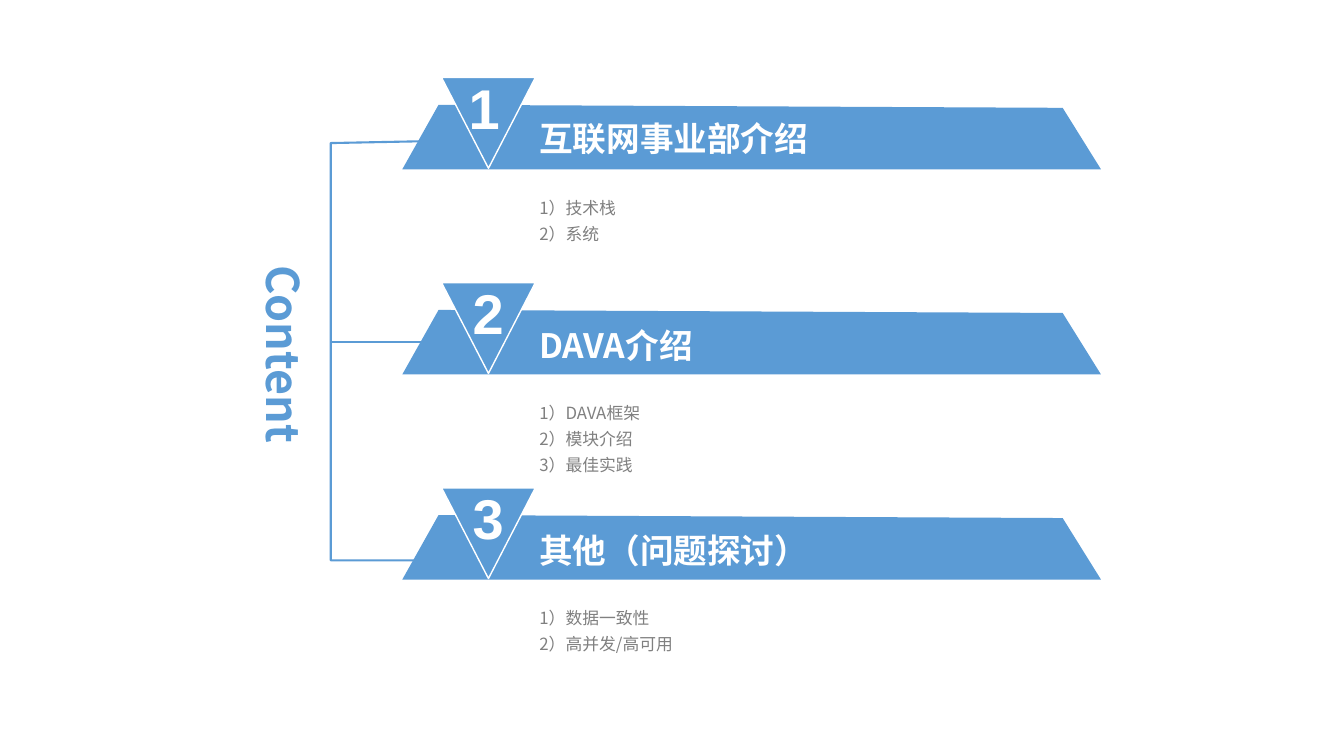
from dataclasses import dataclass

from pptx import Presentation
from pptx.dml.color import RGBColor
from pptx.enum.shapes import MSO_CONNECTOR as Link, MSO_SHAPE as Kind
from pptx.enum.text import MSO_ANCHOR as Anchor, MSO_AUTO_SIZE as Fit, PP_ALIGN as Align
from pptx.oxml.ns import qn
from pptx.oxml.xmlchemy import OxmlElement as Node
from pptx.util import Inches, Pt

COLORS = {"blue": "5B9BD5", "white": "FFFFFF", "gray": "808080"}
SANS = "Noto Sans CJK SC"
TOP, STEP = 0.77, 4.07 / 2


@dataclass
class Part:
    head: str
    items: list[str]
    width: float
    drop: float = 0.37
    num_x: float = 4.59


@dataclass
class Style:
    size: float
    color: str
    bold: bool = True
    font: str = SANS
    space: float = 1.0
    wrap: bool = False


PARTS = [
    Part("互联网事业部介绍", ["1）技术栈", "2）系统"], 2.89, 0.35, 4.55),
    Part("DAVA介绍", ["1）DAVA框架", "2）模块介绍", "3）最佳实践"], 1.84),
    Part("其他（问题探讨）", ["1）数据一致性", "2）高并发/高可用"], 2.89),
]
TITLE = Style(32, "blue")
HEAD = Style(24, "white")
NUMBER = Style(40, "white", font="Arial")
ITEM = Style(12, "gray", bold=False, space=1.3, wrap=True)


def tint(name: str) -> RGBColor:
    """Return a named colour."""
    return RGBColor.from_string(COLORS[name])


def place(shape, x: float, y: float, w: float, h: float) -> None:
    """Move and size a shape in inches."""
    shape.left, shape.top = Inches(x), Inches(y)
    shape.width, shape.height = Inches(w), Inches(h)


def write(shape, text: str, style: Style) -> None:
    """Fill a shape with plain, left-aligned text."""
    frame = shape.text_frame
    frame.text = text
    frame.word_wrap = style.wrap
    frame.auto_size = Fit.SHAPE_TO_FIT_TEXT
    frame.vertical_anchor = Anchor.TOP
    for para in frame.paragraphs:
        para.alignment = Align.LEFT
        para.line_spacing = style.space
        para.space_before = para.space_after = Pt(0)
        props = para._p.get_or_add_pPr()
        props.set("marL", "0")
        props.set("indent", "0")
        props.append(Node("a:buNone"))
        for run in para.runs:
            font = run.font
            font.name, font.size, font.bold = style.font, Pt(style.size), style.bold
            font.color.rgb = tint(style.color)
            face = Node("a:ea")
            face.set("typeface", style.font)
            run._r.rPr.find(qn("a:latin")).addnext(face)


def label(slide, text: str, x: float, y: float, w: float, h: float, style: Style) -> None:
    """Add a text box."""
    box = slide.shapes.add_textbox(0, 0, 0, 0)
    write(box, text, style)
    place(box, x, y, w, h)


def outline(slide, points: list[tuple[float, float]], close: bool):
    """Add a freeform through points given in inches."""
    first, *rest = [(Inches(x), Inches(y)) for x, y in points]
    pen = slide.shapes.build_freeform(*first)
    pen.add_line_segments(rest, close=close)
    shape = pen.convert_to_shape()
    shape.shadow.inherit = False
    return shape


def stroke(line, color: str, width: float) -> None:
    """Set the colour and width of a line."""
    line.color.rgb = tint(color)
    line.width = Pt(width)


def bracket(slide) -> None:
    """Draw the bracket that joins the parts."""
    frame = outline(slide, [(4.3, 5.56), (3.28, 5.56), (3.28, 1.42), (4.27, 1.4)], False)
    frame.fill.background()
    stroke(frame.line, "blue", 1.5)
    ends = [Inches(v) for v in (3.28, 3.39, 4.23, 3.39)]
    branch = slide.shapes.add_connector(Link.STRAIGHT, *ends)
    stroke(branch.line, "blue", 1.5)
    branch._element.spPr.append(Node("a:effectLst"))


def banner(slide, part: Part, num: int, top: float, body) -> None:
    """Draw one numbered part with its list."""
    y = top + 0.27
    bar = outline(slide, [(4.35, y), (10.54, y + 0.03), (10.92, y + 0.64), (3.99, y + 0.64)], True)
    bar.fill.solid()
    bar.fill.fore_color.rgb = tint("blue")
    bar.line.fill.background()
    wedge = slide.shapes.add_shape(Kind.ISOSCELES_TRIANGLE, 0, 0, 0, 0)
    place(wedge, 4.38, top, 0.93, 0.9)
    wedge._element.spPr.find(qn("a:xfrm")).set("flipV", "1")
    wedge.shadow.inherit = False
    wedge.fill.solid()
    wedge.fill.fore_color.rgb = tint("blue")
    stroke(wedge.line, "white", 1)
    write(body, "\n".join(part.items), ITEM)
    place(body, 5.25, top + 1.08, 5.67, 0.11 + 0.26 * len(part.items))
    label(slide, part.head, 5.25, top + part.drop, part.width, 0.5, HEAD)
    label(slide, str(num), part.num_x, top - 0.09, 0.51, 0.77, NUMBER)


def main() -> None:
    """Build and save the slide."""
    deck = Presentation()
    deck.slide_width, deck.slide_height = Inches(13.33), Inches(7.5)
    slide = deck.slides.add_slide(deck.slide_layouts.get_by_name("Comparison"))
    title, *bodies = list(slide.placeholders)
    bracket(slide)
    for i, (part, body) in enumerate(zip(PARTS, bodies)):
        banner(slide, part, i + 1, TOP + i * STEP, body)
    for spare in bodies[len(PARTS):]:
        spare._element.getparent().remove(spare._element)
    write(title, "Content", TITLE)
    title.text_frame._txBody.bodyPr.set("vert", "eaVert")
    place(title, 2.45, 2.58, 0.74, 1.91)
    deck.save("out.pptx")


if __name__ == "__main__":
    main()
